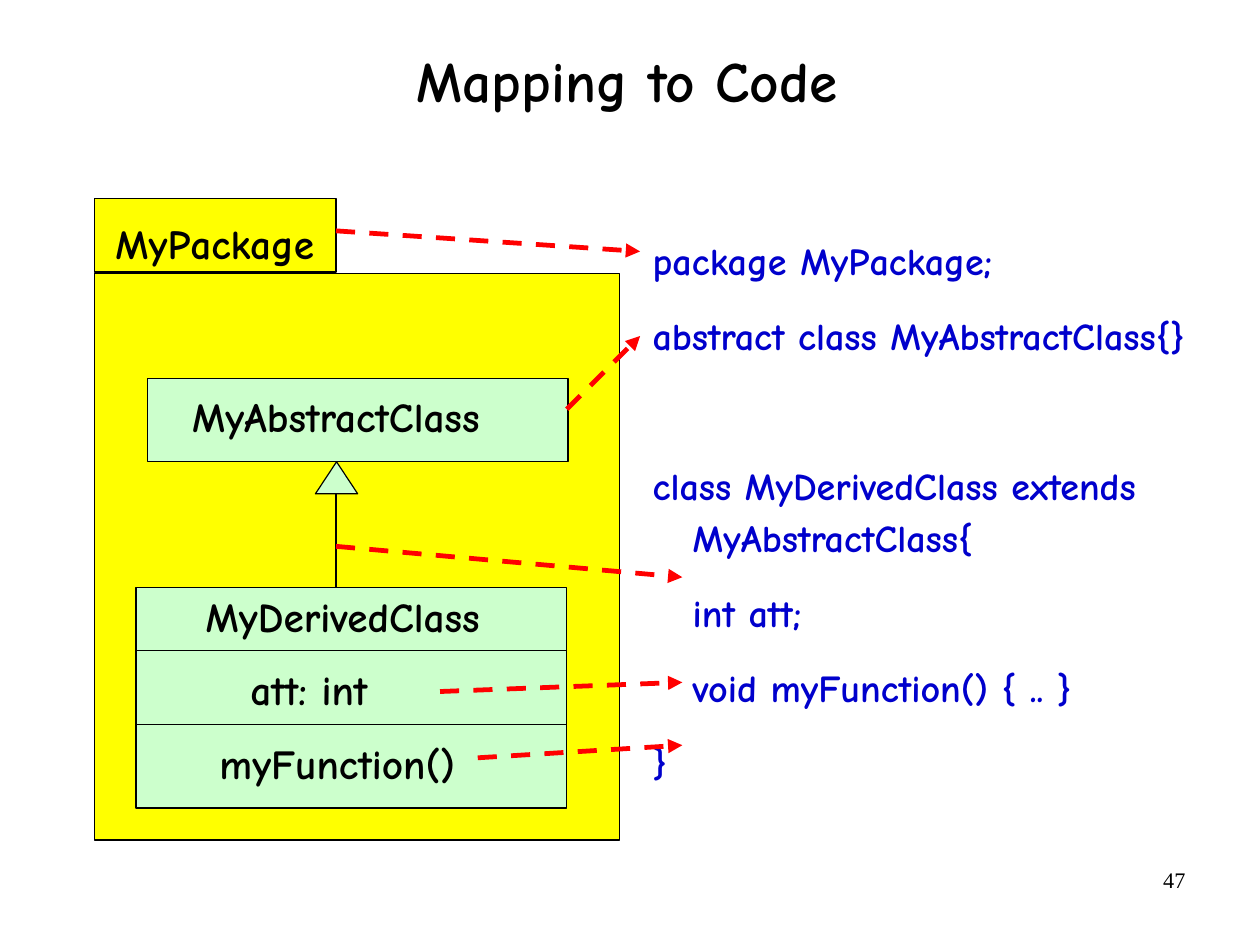
from typing import NamedTuple

from lxml import etree
from pptx import Presentation
from pptx import util as u
from pptx.dml.color import RGBColor
from pptx.enum import dml, shapes, text
from pptx.oxml.ns import qn

BLACK = RGBColor(0, 0, 0)
YELLOW = RGBColor(0xFF, 0xFF, 0)
MINT = RGBColor(0xCC, 0xFF, 0xCC)
RED = RGBColor(0xFF, 0, 0)
BLUE = RGBColor(0, 0, 0xCC)
COMIC = "Comic Neue"
RECT = shapes.MSO_SHAPE.RECTANGLE
TRIANGLE = shapes.MSO_SHAPE.ISOSCELES_TRIANGLE


class Block(NamedTuple):
    left: float
    top: float
    width: float
    height: float
    fill: RGBColor
    outline: shapes.MSO_SHAPE = RECT


class Label(NamedTuple):
    words: str
    left: float
    top: float
    width: float


class Line(NamedTuple):
    x1: float
    y1: float
    x2: float
    y2: float


class CodeLine(NamedTuple):
    words: str
    nested: bool = False
    space_before: float = 0


BLOCKS = [
    Block(0.83, 2.39, 4.59, 4.96, YELLOW),           # package body
    Block(0.83, 1.74, 2.11, 0.64, YELLOW),           # package tab
    Block(1.19, 5.14, 3.77, 1.93, MINT),             # derived class
    Block(1.29, 3.31, 3.68, 0.73, MINT),             # abstract class
    Block(2.76, 4.04, 0.37, 0.28, MINT, TRIANGLE),   # inheritance head
]
LABELS = [
    Label("MyPackage", 0.9, 1.85, 1.97),
    Label("MyAbstractClass", 1.57, 3.36, 2.75),
    Label("MyDerivedClass", 1.69, 5.11, 2.63),
    Label("att: int", 2.08, 5.75, 1.25),
    Label("myFunction()", 1.81, 6.4, 2.29),
]
UML_LINES = [
    Line(1.19, 5.69, 4.96, 5.69),
    Line(1.19, 6.34, 4.96, 6.34),
    Line(2.94, 5.14, 2.94, 4.32),
]
MAPPINGS = [
    Line(2.94, 2.02, 5.6, 2.2),
    Line(4.96, 3.58, 5.6, 2.94),
    Line(2.94, 4.78, 5.97, 5.05),
    Line(3.85, 6.05, 5.97, 5.97),
    Line(4.18, 6.63, 5.97, 6.52),
]
CODE = [
    CodeLine("package MyPackage;"),
    CodeLine("abstract class MyAbstractClass{}"),
    CodeLine("class MyDerivedClass extends MyAbstractClass{", space_before=47),
    CodeLine("int att;", nested=True),
    CodeLine("void myFunction() { .. }", nested=True),
    CodeLine("}"),
]


def place(shape, left: float, top: float, width: float, height: float) -> None:
    shape.left, shape.top = u.Inches(left), u.Inches(top)
    shape.width, shape.height = u.Inches(width), u.Inches(height)


def set_frame(frame, side: float, edge: float, wrap: bool = True) -> None:
    frame.margin_left = frame.margin_right = u.Inches(side)
    frame.margin_top = frame.margin_bottom = u.Inches(edge)
    frame.word_wrap = wrap
    frame.auto_size = text.MSO_AUTO_SIZE.NONE


def style(paragraph, size: float, color: RGBColor = BLACK,
          name: str = COMIC, bold: bool = True) -> None:
    for run in paragraph.runs:
        run.font.size, run.font.name, run.font.bold = u.Pt(size), name, bold
        run.font.color.rgb = color


def draw_block(slide, block: Block) -> None:
    shape = slide.shapes.add_shape(block.outline, *map(u.Inches, block[:4]))
    shape.shadow.inherit = False
    shape.fill.solid()
    shape.fill.fore_color.rgb = block.fill
    shape.line.color.rgb = BLACK
    shape.line.width = u.Pt(0.75)


def draw_label(slide, label: Label) -> None:
    box = slide.shapes.add_textbox(u.Inches(label.left), u.Inches(label.top),
                                   u.Inches(label.width), u.Inches(0.54))
    set_frame(box.text_frame, 0.11, 0.06, wrap=False)
    box.text_frame.text = label.words
    style(box.text_frame.paragraphs[0], 26)


def draw_line(slide, line: Line, color: RGBColor = BLACK,
              width: float = 0.75, arrow: bool = False) -> None:
    connector = slide.shapes.add_connector(
        shapes.MSO_CONNECTOR.STRAIGHT, *map(u.Inches, line))
    connector.line.color.rgb = color
    connector.line.width = u.Pt(width)
    properties = connector._element.spPr
    if arrow:
        connector.line.dash_style = dml.MSO_LINE.DASH
        etree.SubElement(properties.find(qn("a:ln")), qn("a:tailEnd"), type="triangle")
    etree.SubElement(properties, qn("a:effectLst"))


def write_code(body) -> None:
    place(body, 5.6, 2.02, 5.42, 5.88)
    frame = body.text_frame
    set_frame(frame, 0, 0)
    frame.text = "\n".join(line.words for line in CODE)
    for paragraph, line in zip(frame.paragraphs, CODE):
        properties = paragraph._p.get_or_add_pPr()
        properties.set("marL", str(u.Inches(0.46)))
        properties.set("indent", str(u.Inches(0 if line.nested else -0.35)))
        etree.SubElement(properties, qn("a:buNone"))
        paragraph.line_spacing = 1.15
        paragraph.space_before = u.Pt(line.space_before)
        paragraph.space_after = u.Pt(14)
        style(paragraph, 24, BLUE)


def main() -> None:
    deck = Presentation()
    # The page is metric: 28 by 21 cm
    deck.slide_width, deck.slide_height = u.Cm(28), u.Cm(21)
    slide = deck.slides.add_slide(deck.slide_layouts[1])

    # Title
    title = slide.shapes.title
    place(title, 0.8, 0.05, 9.37, 1.38)
    set_frame(title.text_frame, 0, 0)
    title.text_frame.vertical_anchor = text.MSO_ANCHOR.MIDDLE
    title.text_frame.text = "Mapping to Code"
    heading = title.text_frame.paragraphs[0]
    heading.alignment = text.PP_ALIGN.CENTER
    heading.line_spacing = 0.88
    style(heading, 36)

    # Code listing
    write_code(slide.placeholders[1])

    # Class diagram
    for block in BLOCKS:
        draw_block(slide, block)
    for label in LABELS:
        draw_label(slide, label)
    for line in UML_LINES:
        draw_line(slide, line)

    # Arrows from diagram to code
    for mapping in MAPPINGS:
        draw_line(slide, mapping, RED, 3, arrow=True)

    # Page number
    page = slide.shapes.add_textbox(*map(u.Inches, (7.9, 7.53, 2.57, 0.57)))
    set_frame(page.text_frame, 0.1, 0.05)
    page.text_frame.text = "47"
    number = page.text_frame.paragraphs[0]
    number.alignment = text.PP_ALIGN.RIGHT
    style(number, 14, name="Times New Roman", bold=False)

    deck.save("out.pptx")


if __name__ == "__main__":
    main()
